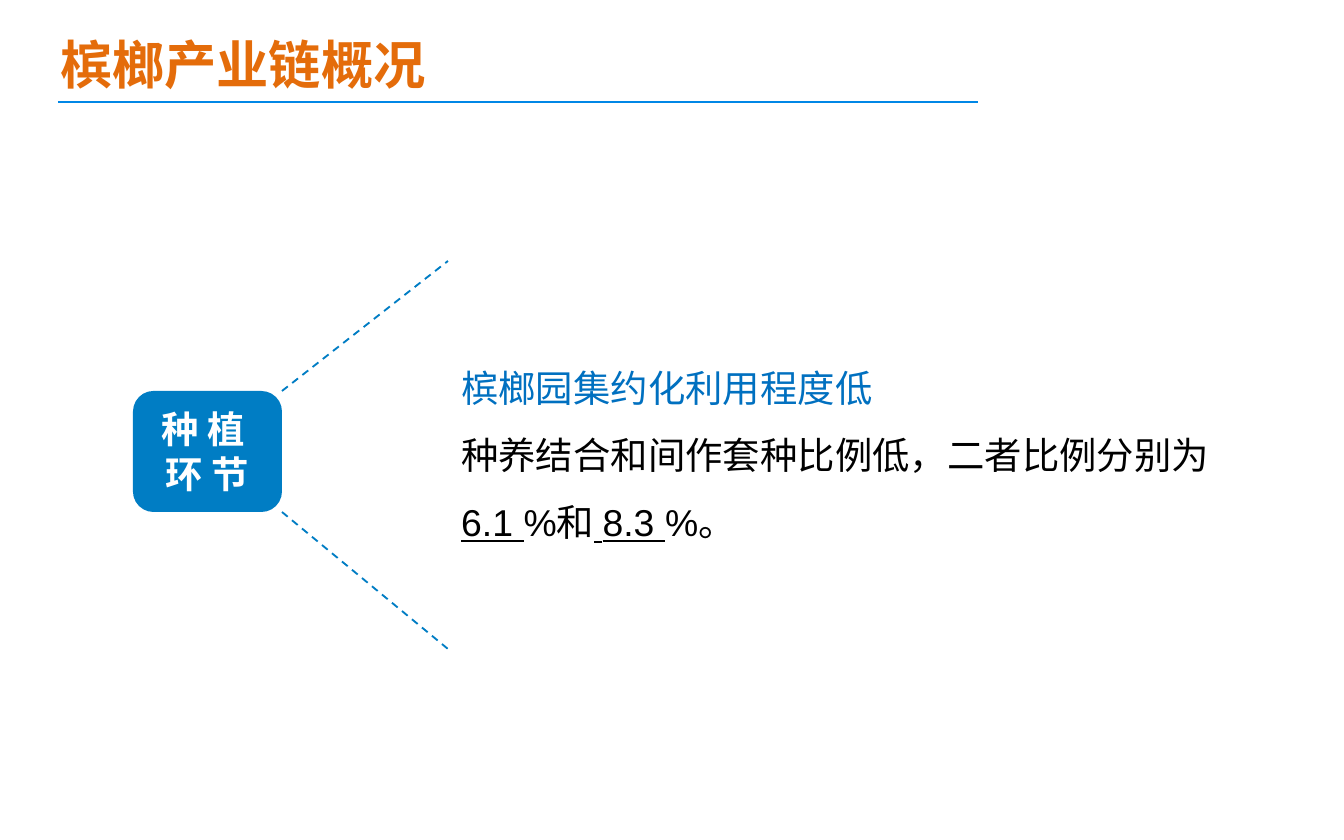
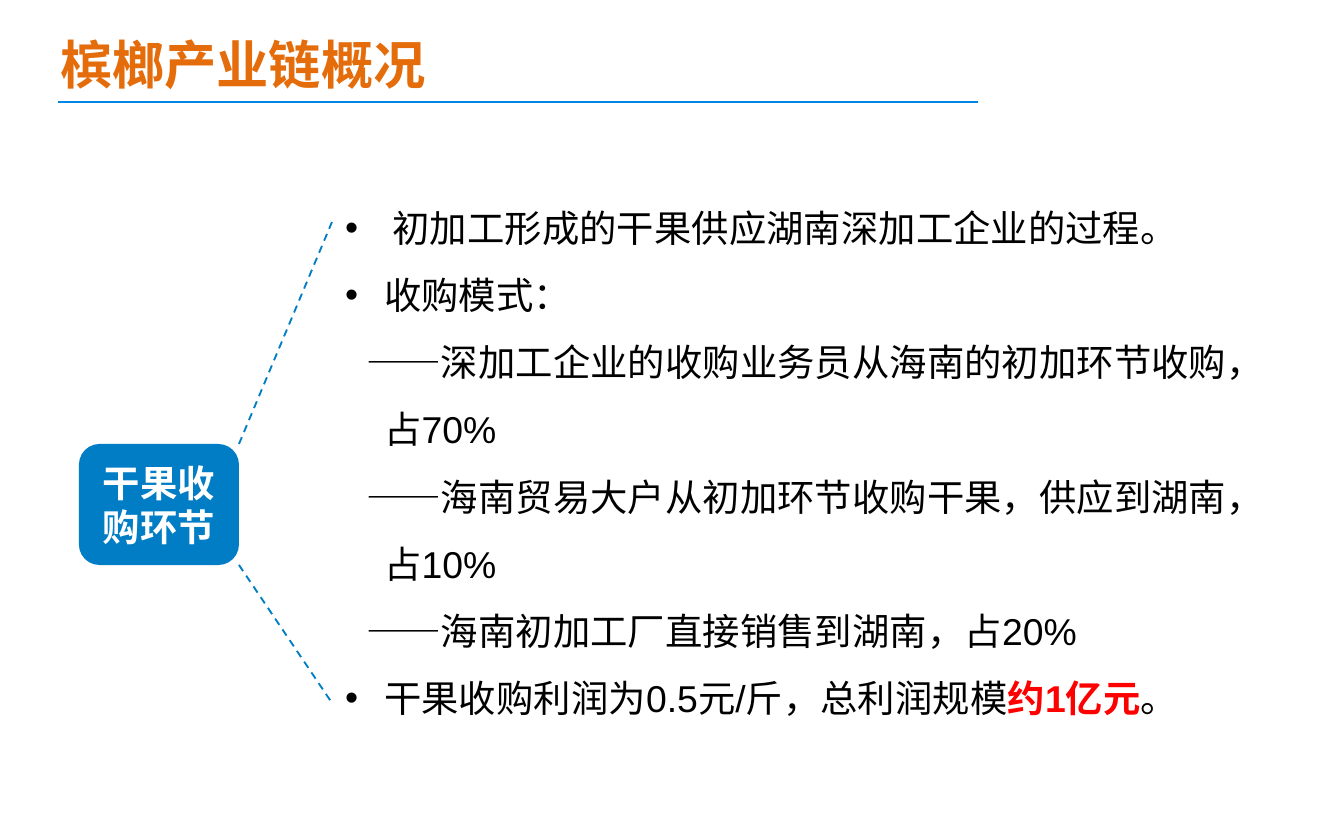
import dataclasses

import lxml.etree
import pptx
import pptx.dml.color
import pptx.enum.dml
import pptx.enum.shapes
import pptx.enum.text
import pptx.oxml.ns
import pptx.util

PX = 914400 / 134.4


@dataclasses.dataclass(frozen=True)
class Theme:
    title: str = "E46C0A"
    rule: str = "0087E6"
    node: str = "007DC4"
    heading: str = "0070C0"
    body: str = "000000"
    alert: str = "FF0000"
    light: str = "FFFFFF"
    title_font: str = "Calibri"
    body_font: str = "Arial"
    node_font: str = "Noto Sans CJK SC"
    title_size: int = 28
    body_size: int = 20
    line_width: int = 1
    line_spacing: float = 1.5
    hanging: int = 39
    dash_start: int = 21


THEME = Theme()


@dataclasses.dataclass(frozen=True)
class Span:
    text: str
    color: str | None = None
    bold: bool | None = None
    underline: bool | None = None


@dataclasses.dataclass(frozen=True)
class Line:
    spans: list
    color: str = THEME.body
    style: str = "plain"


def px(length):
    return pptx.util.Emu(round(length * PX))


def rgb(color):
    return pptx.dml.color.RGBColor.from_string(color)


def set_font(font, name, size, color, bold=False):
    font.name = name
    font.size = pptx.util.Pt(size)
    font.color.rgb = rgb(color)
    font.bold = bold


def add_line(page, start, end, color, dashed=False):
    line = page.shapes.add_connector(
        pptx.enum.shapes.MSO_CONNECTOR.STRAIGHT,
        *(px(length) for length in (*start, *end)))
    line.line.color.rgb = rgb(color)
    line.line.width = pptx.util.Pt(THEME.line_width)
    if dashed:
        line.line.dash_style = pptx.enum.dml.MSO_LINE.DASH
    properties = line._element.spPr
    lxml.etree.SubElement(properties, pptx.oxml.ns.qn("a:effectLst"))


def add_text_frame(page, area):
    box = page.shapes.add_textbox(*map(px, area))
    frame = box.text_frame
    frame.word_wrap = True
    frame.auto_size = pptx.enum.text.MSO_AUTO_SIZE.SHAPE_TO_FIT_TEXT
    return frame


def add_title(page, text):
    add_line(page, (58, 102), (978, 102), THEME.rule)
    para = add_text_frame(page, (47, 26, 931, 77)).paragraphs[0]
    para.text = text
    set_font(para.font, THEME.title_font, THEME.title_size, THEME.title, True)


def add_node(page, area, lines):
    node = page.shapes.add_shape(
        pptx.enum.shapes.MSO_SHAPE.ROUNDED_RECTANGLE, *map(px, area))
    node.shadow.inherit = False
    node.adjustments[0] = 0.17
    node.fill.solid()
    node.fill.fore_color.rgb = rgb(THEME.node)
    node.line.fill.background()
    frame = node.text_frame
    frame.word_wrap = True
    frame.vertical_anchor = pptx.enum.text.MSO_ANCHOR.MIDDLE
    frame.text = "\n".join(lines)
    for para in frame.paragraphs:
        para.alignment = pptx.enum.text.PP_ALIGN.CENTER
        set_font(para.font, THEME.node_font, THEME.body_size, THEME.light, True)


def indent(para, style):
    if style == "plain":
        return
    first = THEME.dash_start if style == "dash" else 0
    properties = para._p.get_or_add_pPr()
    properties.set("marL", str(px(THEME.hanging)))
    properties.set("indent", str(px(first - THEME.hanging)))
    if style == "bullet":
        for tag, key, value in (("a:buFont", "typeface", THEME.body_font),
                                ("a:buChar", "char", "•")):
            lxml.etree.SubElement(properties, pptx.oxml.ns.qn(tag)).set(key, value)


def add_body(page, area, lines):
    frame = add_text_frame(page, area)
    for index, line in enumerate(lines):
        para = frame.add_paragraph() if index else frame.paragraphs[0]
        indent(para, line.style)
        para.line_spacing = THEME.line_spacing
        set_font(para.font, THEME.body_font, THEME.body_size, line.color)
        for span in line.spans:
            run = para.add_run()
            run.text = span.text
            if span.color:
                run.font.color.rgb = rgb(span.color)
            run.font.bold = span.bold
            run.font.underline = span.underline


def add_stage(deck, node_area, node_lines, fan_y, body_area, body_lines):
    page = deck.slides.add_slide(deck.slide_layouts[6])
    left, top, width, height = node_area
    upper, lower = fan_y
    corner, tip = left + width, body_area[0]
    add_line(page, (corner, top + height), (tip, lower), THEME.node, True)
    add_line(page, (corner, top), (tip, upper), THEME.node, True)
    add_node(page, node_area, node_lines)
    add_body(page, body_area, body_lines)
    add_title(page, "槟榔产业链概况")


def main():
    deck = pptx.Presentation()
    deck.slide_width, deck.slide_height = px(1344), px(840)

    add_stage(
        deck, (133, 391, 149, 121), ["种 植 ", "环 节"], (261, 649),
        (448, 336, 806, 219),
        [Line([Span("槟榔园集约化利用程度低")], THEME.heading),
         Line([Span("种养结合和间作套种比例低，二者比例分别为"),
               Span(" 6.1 ", underline=True), Span("%和"),
               Span(" 8.3 ", underline=True), Span("%。")])])

    add_stage(
        deck, (79, 444, 160, 121), ["干果收购环节"], (222, 703),
        (332, 176, 910, 556),
        [Line([Span(" 初加工形成的干果供应湖南深加工企业的过程。")], style="bullet"),
         Line([Span("收购模式：")], style="bullet"),
         Line([Span("——深加工企业的收购业务员从海南的初加环节收购，占70%")], style="dash"),
         Line([Span("——海南贸易大户从初加环节收购干果，供应到湖南，占10%")], style="dash"),
         Line([Span("——海南初加工厂直接销售到湖南，占20%")], style="dash"),
         Line([Span("干果收购利润为0.5元/斤，总利润规模"),
               Span("约1亿元", THEME.alert, True), Span("。")], style="bullet")])

    deck.save("out.pptx")


if __name__ == "__main__":
    main()
